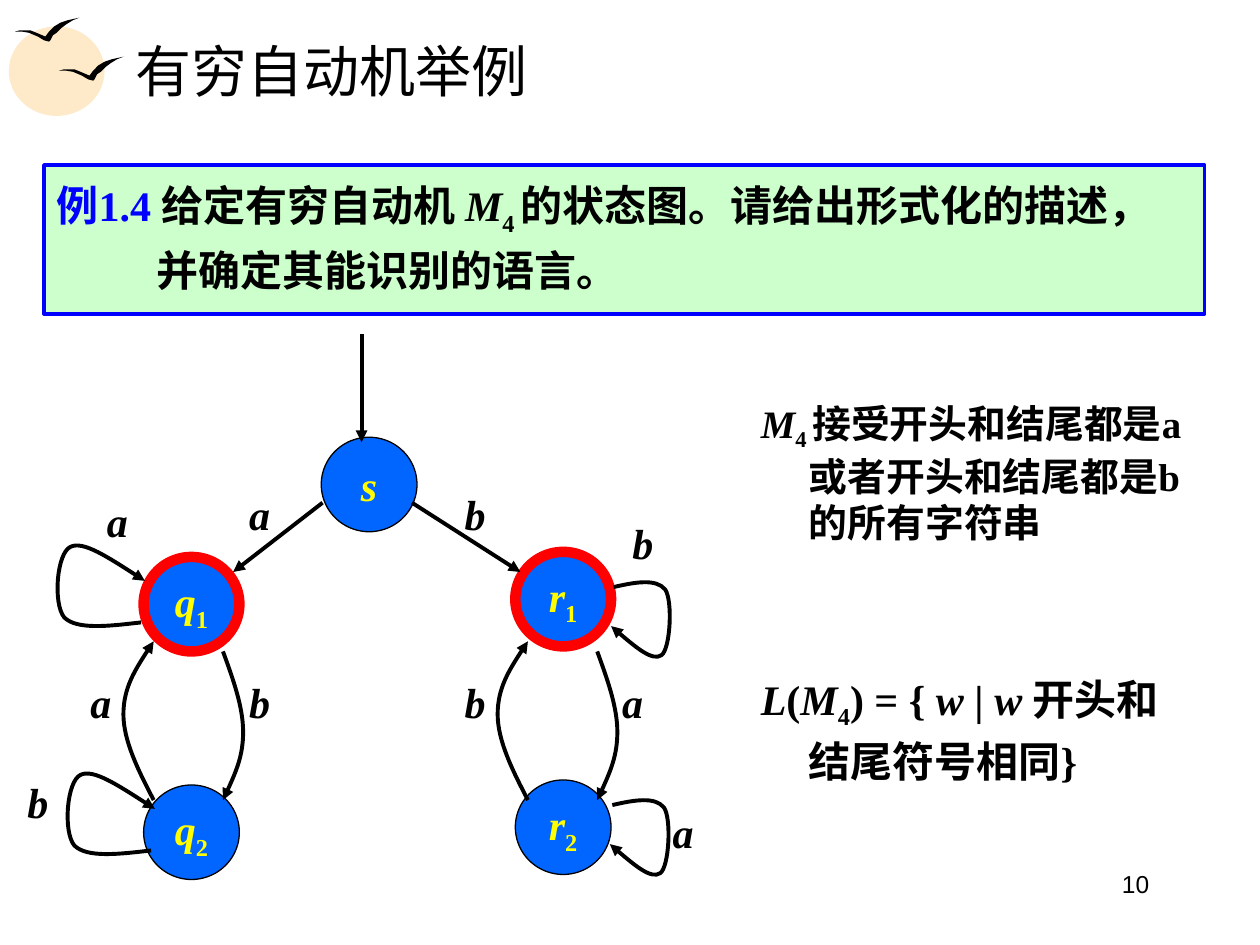
from lxml.etree import SubElement
from pptx import Presentation
from pptx.dml.color import RGBColor
from pptx.enum.shapes import MSO_CONNECTOR as Connector, MSO_SHAPE as Shape
from pptx.enum.text import MSO_ANCHOR as Anchor, MSO_AUTO_SIZE as AutoSize, PP_ALIGN as Align
from pptx.oxml.ns import qn
from pptx.util import Inches, Pt

BLACK, BLUE, YELLOW = "000000", "0000FF", "FFFF00"
SERIF = "Times New Roman"
BIRD = [
    (0.12, 0.25), (0.16, 0.24), (0.24, 0.24), (0.29, 0.26), (0.36, 0.29),
    (0.39, 0.25), (0.43, 0.21), (0.48, 0.18), (0.54, 0.16), (0.63, 0.14),
    (0.58, 0.16), (0.53, 0.19), (0.49, 0.22), (0.45, 0.26), (0.42, 0.28),
    (0.4, 0.32), (0.39, 0.33), (0.35, 0.32), (0.3, 0.29), (0.23, 0.26),
    (0.17, 0.25),
]
LEFT_LOOP = [(1.12, 4.94), (0.86, 4.97), (0.61, 5), (0.51, 4.9), (0.42, 4.79),
             (0.45, 4.39), (0.56, 4.34), (0.66, 4.29), (0.9, 4.45), (1.15, 4.61)]
RIGHT_LOOP = [(4.87, 4.66), (5.04, 4.62), (5.21, 4.59), (5.28, 4.68), (5.34, 4.77),
              (5.32, 5.15), (5.25, 5.2), (5.18, 5.25), (5.01, 5.11), (4.85, 4.97)]
UPWARD_ARC = [(1.22, 6.35), (1.1, 6.12), (0.98, 5.88), (0.98, 5.67),
              (0.98, 5.46), (1.1, 5.27), (1.22, 5.09)]
DOWNWARD_ARC = [(1.77, 5.17), (1.85, 5.39), (1.93, 5.61), (1.93, 5.81),
                (1.93, 6), (1.85, 6.18), (1.77, 6.35)]
STATES = [("s", "", 2.55, 3.47, False), ("q", "1", 1.14, 4.42, True),
          ("q", "2", 1.14, 6.23, False), ("r", "1", 4.09, 4.38, True),
          ("r", "2", 4.09, 6.19, False)]
ARROWS = [(2.87, 2.65, 2.87, 3.51), (2.56, 3.99, 1.85, 4.54), (3.27, 3.99, 4.13, 4.54)]
CURVES = [(LEFT_LOOP, 0, 0), (LEFT_LOOP, 0.08, 1.81),
          (RIGHT_LOOP, 0, 0), (RIGHT_LOOP, -0.01, 1.73),
          (UPWARD_ARC, 0, 0), (UPWARD_ARC, 2.97, 0),
          (DOWNWARD_ARC, 0, 0), (DOWNWARD_ARC, 2.97, 0)]
LABELS = [("a", 1.88, 3.83), ("b", 3.59, 3.83), ("a", 0.75, 3.88), ("b", 4.92, 4.06),
          ("a", 0.62, 5.32), ("b", 1.88, 5.32), ("b", 3.59, 5.32), ("a", 4.84, 5.32),
          ("b", 0.12, 6.11), ("a", 5.24, 6.35)]


def rgb(value):
    """Turn a hex string into a colour."""
    return RGBColor.from_string(value)


def paint(shape, fill=None, line=None, width=0.75):
    """Set fill and line, and drop the shadow."""
    shape.shadow.inherit = False
    if fill:
        shape.fill.solid()
        shape.fill.fore_color.rgb = rgb(fill)
    else:
        shape.fill.background()
    if line:
        shape.line.color.rgb = rgb(line)
        shape.line.width = Pt(width)
    else:
        shape.line.fill.background()


def write(box, spans, size=24, color=BLACK, bold=True, italic=None, font=SERIF,
          align=Align.LEFT, anchor=Anchor.TOP, wrap=True, hang=0, spacing=None, before=None):
    """Write one paragraph of (text, style) spans; style holds i, sub or a colour."""
    frame = box.text_frame
    frame.word_wrap = wrap
    frame.vertical_anchor = anchor
    para = frame.paragraphs[0]
    para.alignment = align
    para.line_spacing = spacing
    para.space_before = before
    if hang:
        properties = para._p.get_or_add_pPr()
        properties.set("marL", str(Inches(hang)))
        properties.set("indent", str(-Inches(hang)))
    para.font.name, para.font.size = font, Pt(size)
    para.font.bold, para.font.italic = bold, italic
    para.font.color.rgb = rgb(color)
    for text, style in spans:
        span = para.add_run()
        span.text = text
        if style == "i":
            span.font.italic = True
        elif style == "sub":
            span.font.italic = False
            span._r.get_or_add_rPr().set("baseline", "-25000")
        elif style:
            span.font.color.rgb = rgb(style)


def add_text(slide, at, spans, **options):
    """Add a text box."""
    box = slide.shapes.add_textbox(*map(Inches, at))
    write(box, spans, **options)
    return box


def add_shape(slide, kind, at, **options):
    """Add a painted preset shape."""
    shape = slide.shapes.add_shape(kind, *map(Inches, at))
    paint(shape, **options)
    return shape


def add_outline(slide, points, dx, dy, close):
    """Add a freeform through points moved by dx and dy."""
    moved = [(Inches(x + dx), Inches(y + dy)) for x, y in points]
    builder = slide.shapes.build_freeform(*moved[0])
    builder.add_line_segments(moved[1:], close=close)
    return builder.convert_to_shape()


def add_arrowhead(shape):
    """Style a line as a transition ending in a triangle."""
    shape.line.color.rgb = rgb(BLACK)
    shape.line.width = Pt(2.25)
    SubElement(shape.line._get_or_add_ln(), qn("a:tailEnd"), type="triangle")


def add_arrow(slide, ends):
    """Add a straight transition."""
    arrow = slide.shapes.add_connector(Connector.STRAIGHT, *map(Inches, ends))
    add_arrowhead(arrow)
    SubElement(arrow.element.spPr, qn("a:effectLst"))


def add_curve(slide, points, dx, dy):
    """Add a curved transition from Bezier control points."""
    shape = add_outline(slide, points, dx, dy, close=False)
    outline = next(shape.element.iter(qn("a:path")))
    steps = outline.findall(qn("a:lnTo"))
    for start in range(0, len(steps), 3):
        curve = SubElement(outline, qn("a:cubicBezTo"))
        for step in steps[start:start + 3]:
            curve.append(step[0])
            outline.remove(step)
    paint(shape)
    add_arrowhead(shape)


def add_state(slide, name, index, left, top, accepting):
    """Add a state circle, ringed in red if accepting."""
    ring = {"line": "FF0000", "width": 6} if accepting else {"line": BLACK}
    circle = add_shape(slide, Shape.OVAL, (left, top, 0.76, 0.75), fill="0066FF", **ring)
    spans = [(name, "i")] + ([(index, "sub")] if index else [])
    write(circle, spans, color=YELLOW, align=Align.CENTER, anchor=Anchor.MIDDLE, wrap=False)


def add_label(slide, letter, left, top):
    """Add the input letter of a transition."""
    box = add_text(slide, (left, top, 0.36, 0.5), [(letter, None)], italic=True,
                   align=Align.CENTER, wrap=False)
    box.text_frame.auto_size = AutoSize.SHAPE_TO_FIT_TEXT


def add_heading(slide):
    """Add the sun, the birds, the title and the page number."""
    add_shape(slide, Shape.OVAL, (0.07, 0.21, 0.76, 0.71), fill="FEE9C8")
    for dx, dy in [(0.35, 0.31), (0, 0)]:
        paint(add_outline(slide, BIRD, dx, dy, close=True), fill=BLACK)
    add_text(slide, (0.98, 0.21, 8.53, 0.69), [("有穷自动机举例", None)],
             size=32, bold=False, anchor=Anchor.MIDDLE)
    add_text(slide, (6.89, 6.85, 2.33, 0.52), [("10", None)],
             size=14, bold=False, font="Arial", align=Align.RIGHT)


def add_statements(slide):
    """Add the exercise and its two answers."""
    exercise = add_shape(slide, Shape.RECTANGLE, (0.35, 1.31, 9.21, 1.18),
                         fill="CCFFCC", line=BLUE, width=2.25)
    write(exercise, [("例1.4 ", BLUE), ("给定有穷自动机 ", None), ("M", "i"), ("4 ", "sub"),
                     ("的状态图。请给出形式化的描述，并确定其能识别的语言。", None)],
          hang=0.79, spacing=1.15)
    add_text(slide, (5.94, 3.12, 3.56, 1.5),
             [("M", "i"), ("4 ", "sub"),
              ("接受开头和结尾都是a或者开头和结尾都是b的所有字符串", None)],
             size=22.2, hang=0.38, spacing=1.0)
    add_text(slide, (5.94, 5.25, 3.47, 1.18),
             [("L", "i"), ("(", None), ("M", "i"), ("4", "sub"), (") = { ", None), ("w", "i"),
              (" | ", None), ("w ", "i"), ("开头和结尾符号相同}", None)],
             hang=0.38, spacing=1.1)


def main():
    """Build the slide and save it."""
    deck = Presentation()
    deck.slide_width, deck.slide_height = Inches(10), Inches(7.5)
    slide = deck.slides.add_slide(deck.slide_layouts[6])
    add_heading(slide)
    add_statements(slide)
    for state in STATES:
        add_state(slide, *state)
    for ends in ARROWS:
        add_arrow(slide, ends)
    for curve in CURVES:
        add_curve(slide, *curve)
    for label in LABELS:
        add_label(slide, *label)
    deck.save("out.pptx")


if __name__ == "__main__":
    main()
